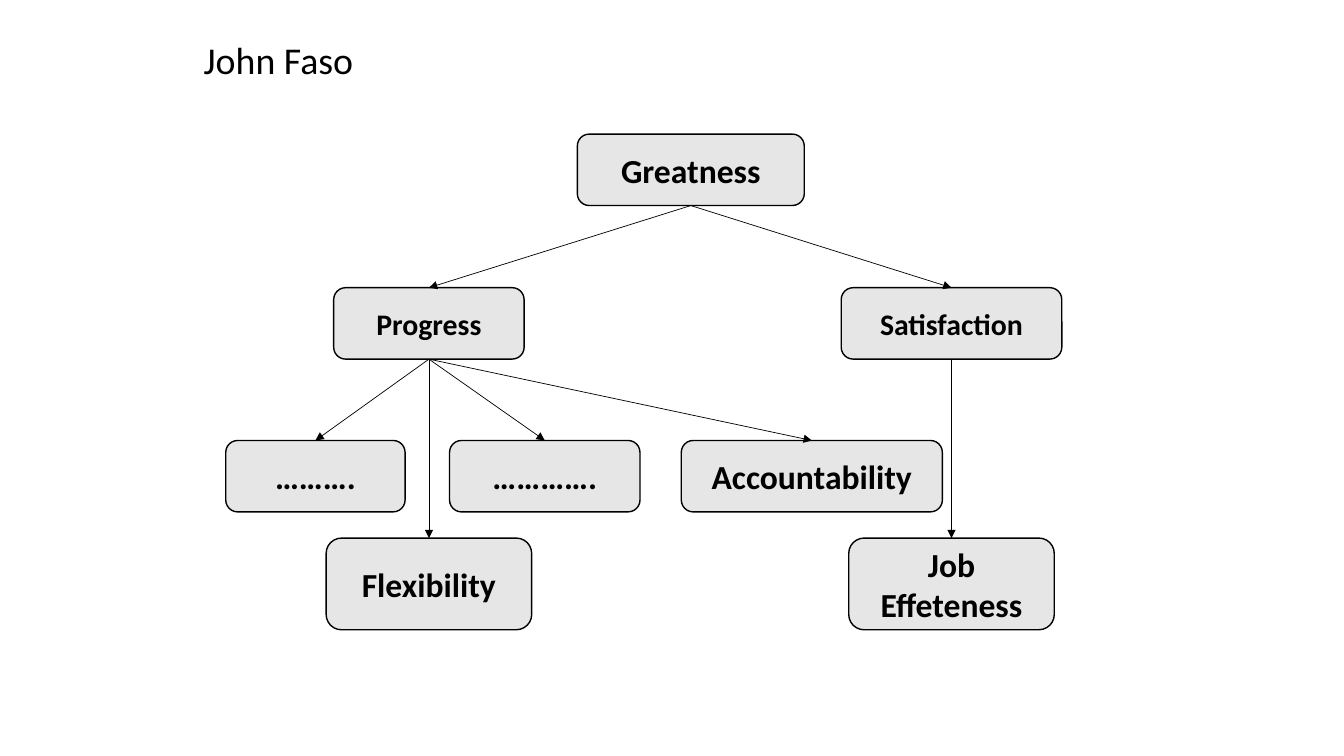
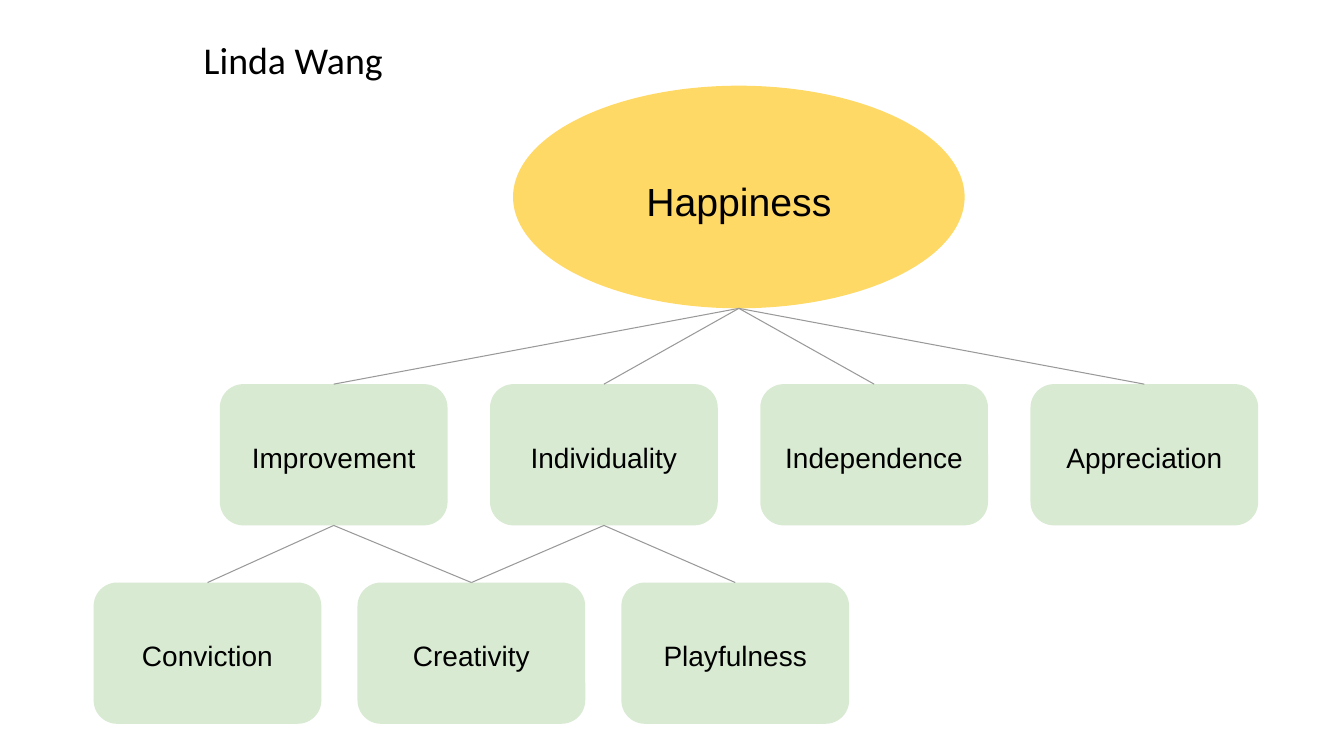
from collections import namedtuple
from lxml.etree import SubElement
from pptx import Presentation
from pptx.dml.color import RGBColor
from pptx.enum.shapes import MSO_CONNECTOR, MSO_SHAPE
from pptx.enum.text import MSO_ANCHOR, MSO_AUTO_SIZE, PP_ALIGN
from pptx.oxml.ns import qn
from pptx.util import Cm, Pt

BLACK = RGBColor(0x00, 0x00, 0x00)
PALE_GRAY = RGBColor(0xE7, 0xE6, 0xE6)
LINK_GRAY = RGBColor(0x99, 0x99, 0x99)
GOLD = RGBColor(0xFF, 0xD9, 0x66)
PALE_GREEN = RGBColor(0xD9, 0xEA, 0xD3)

TITLE_ONLY = 5
TOP_SITE, BOTTOM_SITE, ELLIPSE_BOTTOM_SITE = 0, 2, 4

Box = namedtuple("Box", "left top width height")
NodeStyle = namedtuple("NodeStyle", "shape fill outline font bold spacing inset_x inset_y")
LinkStyle = namedtuple("LinkStyle", "color width arrow")

OUTLINED = NodeStyle(MSO_SHAPE.ROUNDED_RECTANGLE, PALE_GRAY, BLACK, "Calibri", True, 1.0, 0.25, 0.13)
SOFT = NodeStyle(MSO_SHAPE.ROUNDED_RECTANGLE, PALE_GREEN, None, "Arial", False, 1.15, 0.18, 0.18)
GOAL = SOFT._replace(shape=MSO_SHAPE.OVAL, fill=GOLD)
ARROW = LinkStyle(BLACK, 0.5, True)
BRANCH = LinkStyle(LINK_GRAY, 0.75, False)

TITLE_BOX = Box(4.88, 0.81, 19.96, 1.35)
LADDER_BOX = Box(5.69, 3.38, 21.08, 12.49)
TREE_BOX = Box(2.36, 2.16, 29.35, 16.08)


def add_span(para, text, font, size, bold=False):
    span = para.add_run()
    span.text = text
    span.font.name = font
    span.font.size = Pt(size)
    span.font.bold = bold
    span.font.color.rgb = BLACK


def add_titled_page(deck, text):
    page = deck.slides.add_slide(deck.slide_layouts[TITLE_ONLY])
    title = page.shapes.title
    title.left, title.top, title.width, title.height = map(Cm, TITLE_BOX)
    frame = title.text_frame
    frame.word_wrap = True
    frame.auto_size = MSO_AUTO_SIZE.NONE
    frame.vertical_anchor = MSO_ANCHOR.MIDDLE
    para = frame.paragraphs[0]
    para.alignment = PP_ALIGN.LEFT
    add_span(para, text, "Calibri", 27)
    return page


def add_node(page, box, text, size, style):
    node = page.shapes.add_shape(style.shape, *map(Cm, box))
    node.shadow.inherit = False
    node.fill.solid()
    node.fill.fore_color.rgb = style.fill
    if style.outline is None:
        node.line.fill.background()
    else:
        node.line.color.rgb = style.outline
        node.line.width = Pt(1)
    frame = node.text_frame
    frame.word_wrap = True
    frame.vertical_anchor = MSO_ANCHOR.MIDDLE
    frame.margin_left = frame.margin_right = Cm(style.inset_x)
    frame.margin_top = frame.margin_bottom = Cm(style.inset_y)
    para = frame.paragraphs[0]
    para.alignment = PP_ALIGN.CENTER
    para.line_spacing = style.spacing
    add_span(para, text, style.font, size, style.bold)
    return node


def add_link(page, parent, child, style):
    link = page.shapes.add_connector(MSO_CONNECTOR.STRAIGHT, 0, 0, 0, 0)
    link.begin_connect(parent, BOTTOM_SITE)
    link.end_connect(child, TOP_SITE)
    if parent.auto_shape_type == MSO_SHAPE.OVAL:
        start = next(link._element.iter(qn("a:stCxn")))
        start.set("idx", str(ELLIPSE_BOTTOM_SITE))
    link.line.color.rgb = style.color
    link.line.width = Pt(style.width)
    if style.arrow:
        SubElement(link.line._get_or_add_ln(), qn("a:tailEnd"), type="triangle")
    SubElement(link._element.spPr, qn("a:effectLst"))


def add_links(page, nodes, branches, style):
    for parent, children in branches.items():
        for child in children:
            add_link(page, nodes[parent], nodes[child], style)


def add_ladder(page, box):
    goal_top, value_top, trait_top, base_top = 0, 3.87, 7.72, 10.18
    height, base_height = 1.8, 2.31
    entries = [
        ("Greatness", 11.72, goal_top, 5.72, height, 24),
        ("Progress", 5.12, value_top, 4.8, height, 21.3),
        ("Satisfaction", 18.29, value_top, 5.56, height, 21.3),
        ("……….", 2.26, trait_top, 4.52, height, 24),
        ("………….", 8.04, trait_top, 4.8, height, 24),
        ("Accountability", 14.77, trait_top, 6.58, height, 24),
        ("Flexibility", 5.12, base_top, 5.18, base_height, 24),
        ("Job Effeteness", 18.29, base_top, 5.18, base_height, 24),
    ]
    nodes = {}
    for text, center, top, width, tall, size in entries:
        place = Box(box.left + center - width / 2, box.top + top, width, tall)
        nodes[text] = add_node(page, place, text, size, OUTLINED)
    branches = {
        "Greatness": ["Progress", "Satisfaction"],
        "Progress": ["……….", "………….", "Accountability", "Flexibility"],
        "Satisfaction": ["Job Effeteness"],
    }
    add_links(page, nodes, branches, ARROW)


def add_tree(page, box):
    goal_box = Box(box.left + 10.57, box.top, 11.38, 5.61)
    nodes = {"Happiness": add_node(page, goal_box, "Happiness", 28, GOAL)}
    width, height = 5.74, 3.56
    values = ["Improvement", "Individuality", "Independence", "Appreciation"]
    traits = ["Conviction", "Creativity", "Playfulness"]
    rows = [(values, 3.18, 7.52, 6.86 - 0.05), (traits, 0, box.height - height, 6.65)]
    for texts, left, top, pitch in rows:
        for column, text in enumerate(texts):
            place = Box(box.left + left + column * pitch, box.top + top, width, height)
            nodes[text] = add_node(page, place, text, 20, SOFT)
    branches = {
        "Happiness": values,
        "Improvement": traits[:2],
        "Individuality": traits[1:],
    }
    add_links(page, nodes, branches, BRANCH)


def main():
    deck = Presentation()
    deck.slide_width, deck.slide_height = Cm(33.87), Cm(19.05)
    add_ladder(add_titled_page(deck, "John Faso"), LADDER_BOX)
    add_tree(add_titled_page(deck, "Linda Wang"), TREE_BOX)
    deck.save("out.pptx")


if __name__ == "__main__":
    main()
